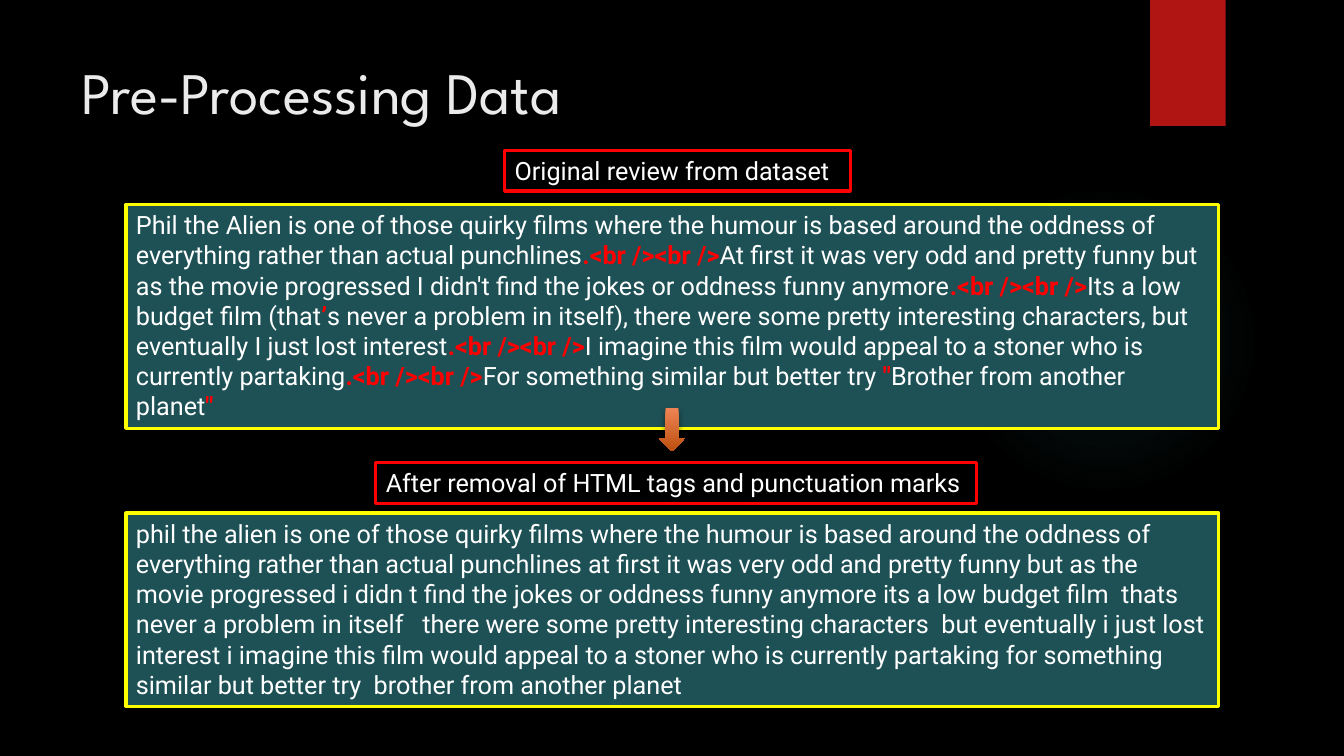
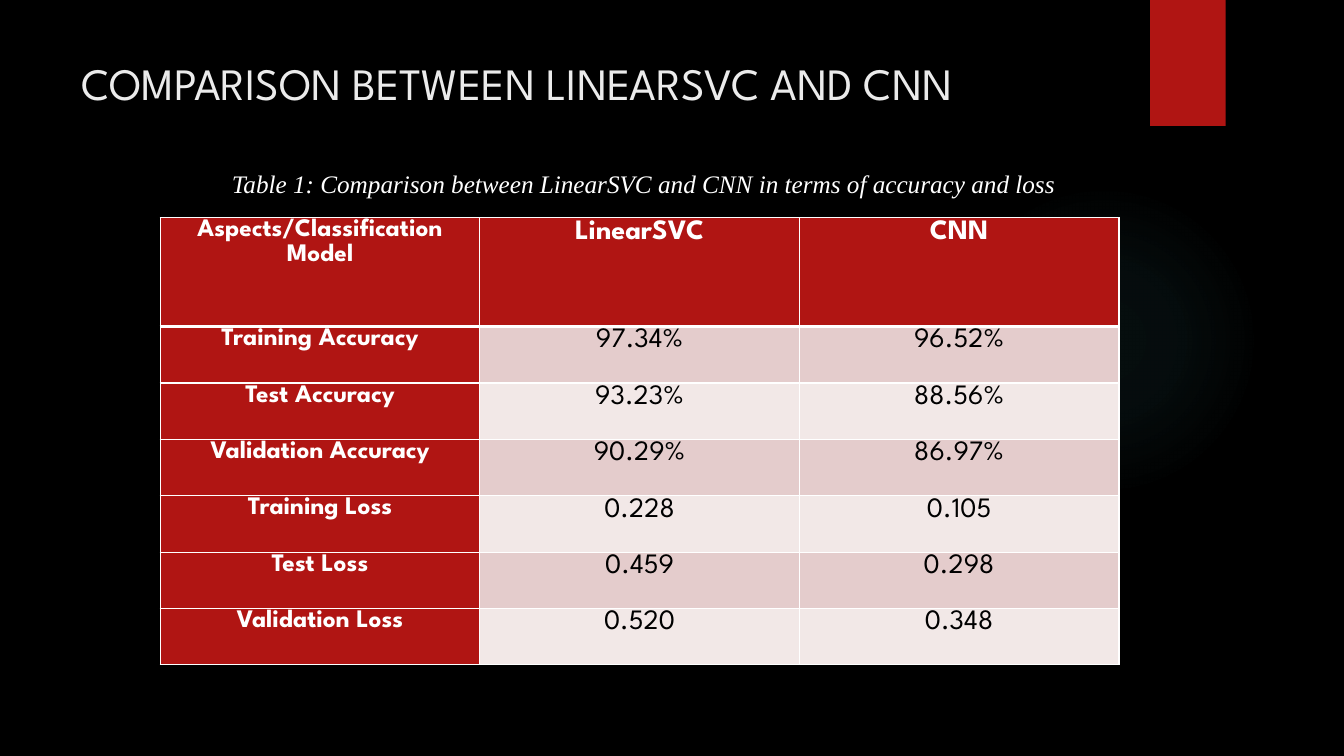
from pptx import Presentation
from pptx.dml.color import RGBColor
from pptx.enum.shapes import MSO_SHAPE
from pptx.enum.text import MSO_ANCHOR, MSO_AUTO_SIZE, PP_ALIGN
from pptx.oxml import parse_xml
from pptx.oxml.ns import nsdecls, qn
from pptx.util import Pt

COLORS = {
    name: RGBColor.from_string(value)
    for name, value in {
        "black": "000000", "white": "FFFFFF", "title": "EBEBEB",
        "accent": "B01513", "teal": "1E5155", "glow": "50B9C1",
        "yellow": "FFFF00", "red": "FF0000",
        "arrow_top": "EE8455", "arrow_tip": "BC4F0E",
        "band_dark": "E4CCCC", "band_light": "F2E8E7",
    }.items()
}
TITLE_FONT, BODY_FONT, CAPTION_FONT = "League Spartan", "Roboto", "Times New Roman"


def cast_shadow(shape, opacity, blur, distance):
    """Give the shape a black shadow that falls straight down."""
    shape.shadow.inherit = False
    effects = shape.element.spPr.find(qn("a:effectLst"))
    effects.append(parse_xml(
        f'<a:outerShdw {nsdecls("a")} blurRad="{Pt(blur)}" dist="{Pt(distance)}" '
        f'dir="5400000" rotWithShape="0"><a:srgbClr val="{COLORS["black"]}">'
        f'<a:alpha val="{opacity * 1000}"/></a:srgbClr></a:outerShdw>'))


def add_panel(page, left, top, width, height, line, segments, fill=None):
    """Add a framed text box in which every second segment is red and bold."""
    box = page.shapes.add_textbox(Pt(left), Pt(top), Pt(width), Pt(height))
    box.line.color.rgb = COLORS[line]
    box.line.width = Pt(2.25)
    if fill:
        box.fill.solid()
        box.fill.fore_color.rgb = COLORS[fill]
    box.text_frame.word_wrap = True
    para = box.text_frame.paragraphs[0]
    para.font.size = Pt(18)
    para.font.name = BODY_FONT
    for index, text in enumerate(segments):
        span = para.add_run()
        span.text = text
        marked = index % 2 == 1
        span.font.bold = marked
        span.font.color.rgb = COLORS["red" if marked else "white"]


deck = Presentation()
deck.slide_width, deck.slide_height = Pt(960), Pt(540)
background = deck.slide_master.background.fill
background.solid()
background.fore_color.rgb = COLORS["black"]

# Shared layout: title position, glow and red tab
layout = deck.slide_layouts.get_by_name("Title Only")
layout_title = layout.placeholders[0]
layout_title.left, layout_title.top = Pt(51), Pt(36)
layout_title.width, layout_title.height = Pt(740), Pt(110)
layout_title.text_frame.vertical_anchor = MSO_ANCHOR.TOP
layout_title.text_frame.auto_size = MSO_AUTO_SIZE.NONE

pages = []
for title, size in (("Pre-Processing Data", 42),
                    ("COMPARISON BETWEEN LINEARSVC AND CNN", 32)):
    page = deck.slides.add_slide(layout)
    page.shapes.title.text = title
    para = page.shapes.title.text_frame.paragraphs[0]
    para.alignment = PP_ALIGN.LEFT
    para.font.size = Pt(size)
    para.font.name = TITLE_FONT
    para.font.color.rgb = COLORS["title"]
    pages.append(page)
review_page, comparison_page = pages

glow = review_page.shapes.add_shape(MSO_SHAPE.OVAL, Pt(677.5), Pt(132), Pt(222), Pt(222))
glow.shadow.inherit = False
glow.line.fill.background()
glow.fill.background()
stops = "".join(
    f'<a:gs pos="{position * 1000}"><a:srgbClr val="{COLORS["glow"]}">'
    f'<a:alpha val="{opacity * 1000}"/></a:srgbClr></a:gs>'
    for position, opacity in ((0, 7), (36, 6), (69, 0)))
glow_properties = glow.element.spPr
glow_properties.replace(glow_properties.find(qn("a:noFill")), parse_xml(
    f'<a:gradFill {nsdecls("a")}><a:gsLst>{stops}</a:gsLst><a:path path="circle">'
    '<a:fillToRect l="50000" t="50000" r="50000" b="50000"/></a:path></a:gradFill>'))

tab = review_page.shapes.add_shape(MSO_SHAPE.RECTANGLE, Pt(821.5), 0, Pt(54), Pt(90))
tab.fill.solid()
tab.fill.fore_color.rgb = COLORS["accent"]
tab.line.fill.background()
cast_shadow(tab, 45, 3, 2)

# The layout's tree starts with two property elements
for index, decoration in enumerate((glow, tab)):
    decoration.element.xpath(".//p:cNvPr")[0].set("id", str(100 + index))
    layout.shapes.element.insert(2 + index, decoration.element)

# Slide 1: the review before and after cleaning
BREAKS = ".<br /><br />"
raw_review = [
    "Phil the Alien is one of those quirky films where the humour is based around "
    "the oddness of everything rather than actual punchlines",
    BREAKS,
    "At first it was very odd and pretty funny but as the movie progressed I didn't "
    "find the jokes or oddness funny anymore",
    BREAKS,
    "Its a low budget film (that",
    "’",
    "s never a problem in itself), there were some pretty interesting characters, "
    "but eventually I just lost interest",
    BREAKS,
    "I imagine this film would appeal to a stoner who is currently partaking",
    BREAKS,
    "For something similar but better try ",
    '"',
    "Brother from another planet",
    '"',
]
clean_review = [
    "phil the alien is one of those quirky films where the humour is based around "
    "the oddness of everything rather than actual punchlines at first it was very "
    "odd and pretty funny but as the movie progressed i didn t find the jokes or "
    "oddness funny anymore its a low budget film  thats never a problem in itself   "
    "there were some pretty interesting characters  but eventually i just lost "
    "interest i imagine this film would appeal to a stoner who is currently "
    "partaking for something similar but better try  brother from another planet"
]
add_panel(review_page, 90, 146, 780.5, 160, "yellow", raw_review, "teal")
add_panel(review_page, 90, 366.5, 780.5, 138, "yellow", clean_review, "teal")
add_panel(review_page, 360.5, 107.5, 247, 29, "red", ["Original review from dataset"])
add_panel(review_page, 268.5, 330.5, 429, 29, "red",
          ["After removal of HTML tags and punctuation marks"])

arrow = review_page.shapes.add_shape(
    MSO_SHAPE.DOWN_ARROW, Pt(470.75), Pt(291.5), Pt(18.5), Pt(31))
arrow.line.fill.background()
arrow.fill.gradient()
arrow.fill.gradient_angle = 270
for stop, position, color in zip(arrow.fill.gradient_stops, (0, 1), ("arrow_top", "arrow_tip")):
    stop.position = position
    stop.color.rgb = COLORS[color]
cast_shadow(arrow, 60, 5, 3)

# Slide 2: caption and results table
caption = comparison_page.shapes.add_textbox(Pt(136), Pt(116.5), Pt(641.5), Pt(29))
caption.text_frame.word_wrap = True
caption.text_frame.margin_left = Pt(13)
para = caption.text_frame.paragraphs[0]
para.text = "Table 1: Comparison between LinearSVC and CNN in terms of accuracy and loss"
para.alignment = PP_ALIGN.CENTER
para.font.size = Pt(18)
para.font.name = CAPTION_FONT
para.font.italic = True
para.font.color.rgb = COLORS["white"]

results = [
    ("Aspects/Classification Model", "LinearSVC", "CNN"),
    ("Training Accuracy", "97.34%", "96.52%"),
    ("Test Accuracy", "93.23%", "88.56%"),
    ("Validation Accuracy", "90.29%", "86.97%"),
    ("Training Loss", "0.228", "0.105"),
    ("Test Loss", "0.459", "0.298"),
    ("Validation Loss", "0.520", "0.348"),
]
HEADER_HEIGHT, ROW_HEIGHT, COLUMN_WIDTH = 77.75, 40.3, 228.25
table = comparison_page.shapes.add_table(
    len(results), 3, Pt(114.5), Pt(155.5), Pt(3 * COLUMN_WIDTH),
    Pt(HEADER_HEIGHT + 6 * ROW_HEIGHT)).table
table.horz_banding = False
for column in table.columns:
    column.width = Pt(COLUMN_WIDTH)

for row, values in enumerate(results):
    table.rows[row].height = Pt(ROW_HEIGHT if row else HEADER_HEIGHT)
    for column, value in enumerate(values):
        cell = table.cell(row, column)
        heading = row == 0 or column == 0
        band = "band_dark" if row % 2 else "band_light"
        cell.margin_left = cell.margin_right = Pt(5)
        cell.margin_top = cell.margin_bottom = 0
        widths = {"lnL": 1, "lnR": 1, "lnT": 3 if row == 1 else 1, "lnB": 1 if row else 3}
        for side, width in widths.items():
            cell._tc.get_or_add_tcPr().append(parse_xml(
                f'<a:{side} {nsdecls("a")} w="{Pt(width)}"><a:solidFill>'
                f'<a:srgbClr val="{COLORS["white"]}"/></a:solidFill></a:{side}>'))
        cell.fill.solid()
        cell.fill.fore_color.rgb = COLORS["accent" if heading else band]
        para = cell.text_frame.paragraphs[0]
        para.text = value
        para.alignment = PP_ALIGN.CENTER
        para.line_spacing = 1.07
        para.space_after = Pt(8)
        para.font.name = TITLE_FONT
        para.font.size = Pt(20 if column else 18)
        para.font.bold = heading
        para.font.color.rgb = COLORS["white" if heading else "black"]

deck.save("out.pptx")
